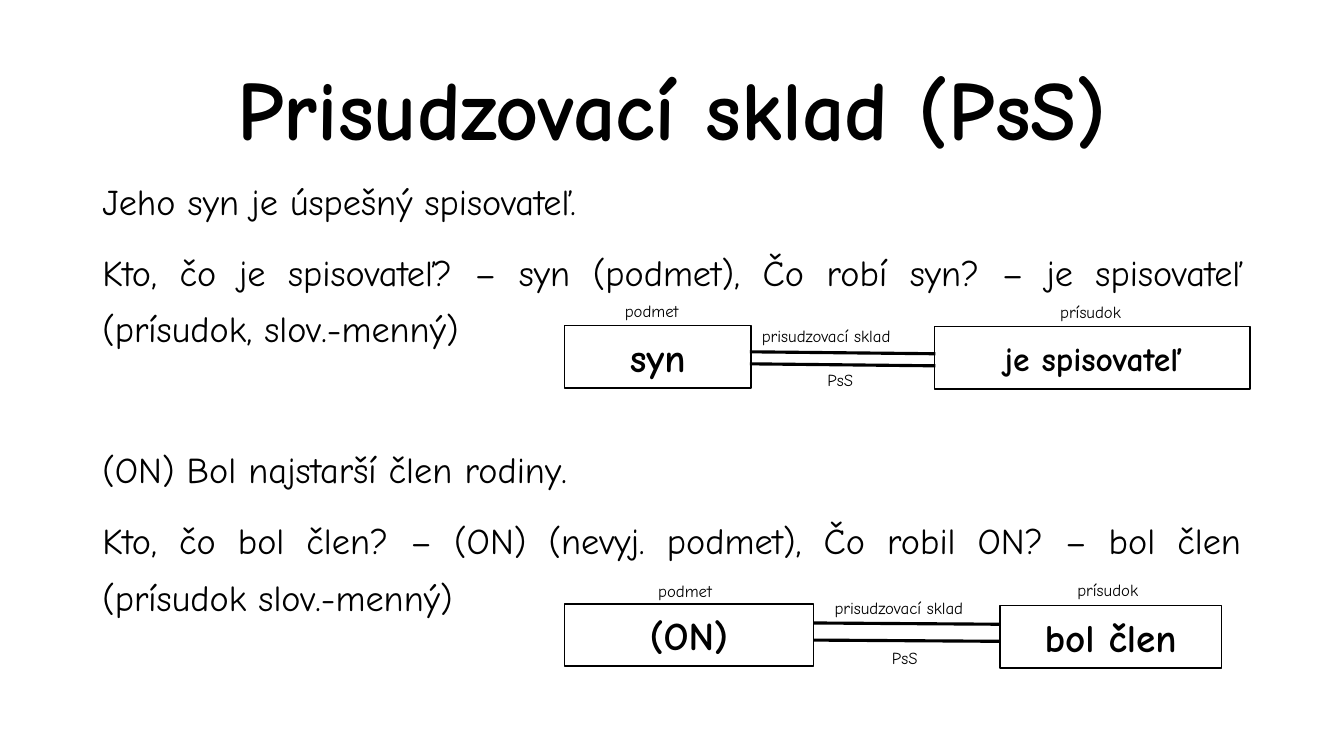
from pptx import Presentation
from pptx.dml.color import RGBColor
from pptx.enum import shapes, text
from pptx.oxml import ns
from pptx.util import Pt
from lxml import etree

BLACK = RGBColor(0, 0, 0)
WHITE = RGBColor(255, 255, 255)
FONT = "Comic Neue"
ALIGN = text.PP_ALIGN

# Content: lengths in points
TITLE = "Prisudzovací sklad (PsS)"
BODY = [  # text, space before
    ("Jeho syn je úspešný spisovateľ.", 0),
    ("Kto, čo je spisovateľ? – syn (podmet), Čo robí syn? – je spisovateľ "
     "(prísudok, slov.-menný)", 10),
    ("(ON) Bol najstarší člen rodiny.", 60.4),
    ("Kto, čo bol člen? – (ON) (nevyj. podmet), Čo robil ON? – bol člen "
     "(prísudok slov.-menný)", 10),
]
BOX_HEIGHT = 44.6
LABEL_HEIGHT = 21.8
LABEL_WIDTHS = {"podmet": 56.2, "prísudok": 62.6,
                "prisudzovací sklad": 116.6, "PsS": 35.3}
DIAGRAMS = [
    {"boxes": [("syn", 403.2, 232.6, 133.2, 28),
               ("je spisovateľ", 667.4, 233.3, 225.4, 24)],
     "labels": [("podmet", 439.2, 211), ("prísudok", 750.2, 211.7),
                ("prisudzovací sklad", 537.1, 229), ("PsS", 583.9, 260.6)],
     "bond": (535.7, 668.2), "bond_tops": (251.3, 259.9), "drop": 1.4},
    {"boxes": [("(ON)", 403.2, 431.3, 177.8, 28),
               ("bol člen", 714.2, 432.7, 158.4, 28)],
     "labels": [("podmet", 463, 411.1), ("prísudok", 762.5, 410.4),
                ("prisudzovací sklad", 589, 423.4), ("PsS", 630, 459.4)],
     "bond": (581, 714.2), "bond_tops": (445, 457.2), "drop": 0.9},
]

deck = Presentation()
deck.slide_width, deck.slide_height = Pt(960), Pt(540)
page = deck.slides.add_slide(deck.slide_layouts[6])


def write(frame, lines, size, bold=False, align=ALIGN.LEFT, spacing=None,
          anchor=text.MSO_ANCHOR.TOP, wrap=True):
    """Fill a text frame with (text, space before) lines."""
    frame.word_wrap = wrap
    frame.vertical_anchor = anchor
    for index, (words, before) in enumerate(lines):
        para = frame.add_paragraph() if index else frame.paragraphs[0]
        para.alignment = align
        para.space_before = Pt(before)
        if spacing:
            para.line_spacing = spacing
        span = para.add_run()
        span.text = words
        span.font.name, span.font.size = FONT, Pt(size)
        span.font.bold, span.font.color.rgb = bold, BLACK


def add_text(left, top, width, height, lines, size, **style):
    box = page.shapes.add_textbox(Pt(left), Pt(top), Pt(width), Pt(height))
    write(box.text_frame, lines, size, **style)


def add_member(words, left, top, width, size):
    box = page.shapes.add_shape(shapes.MSO_SHAPE.RECTANGLE, Pt(left), Pt(top),
                                Pt(width), Pt(BOX_HEIGHT))
    box.shadow.inherit = False
    box.fill.solid()
    box.fill.fore_color.rgb = WHITE
    box.line.color.rgb = BLACK
    box.line.width = Pt(1)
    write(box.text_frame, [(words, 0)], size, bold=True, align=ALIGN.CENTER,
          anchor=text.MSO_ANCHOR.MIDDLE)


def add_bond(start, end, top, drop):
    line = page.shapes.add_connector(shapes.MSO_CONNECTOR.STRAIGHT, Pt(start),
                                     Pt(top), Pt(end), Pt(top + drop))
    line.line.color.rgb = BLACK
    line.line.width = Pt(2.25)
    etree.SubElement(line._element.spPr, ns.qn("a:effectLst"))


# Title and example sentences
add_text(66, 28.8, 828, 104.4, [(TITLE, 0)], 60, bold=True, align=ALIGN.CENTER,
         spacing=0.9, anchor=text.MSO_ANCHOR.MIDDLE)
add_text(66, 115.2, 828, 335.5, BODY, 25.9, align=ALIGN.JUSTIFY, spacing=1.3)

# Subject and predicate diagrams
for diagram in DIAGRAMS:
    for member in diagram["boxes"]:
        add_member(*member)
    for bond_top in diagram["bond_tops"]:
        add_bond(*diagram["bond"], bond_top, diagram["drop"])
    for label, left, top in diagram["labels"]:
        add_text(left, top, LABEL_WIDTHS[label], LABEL_HEIGHT, [(label, 0)], 12,
                 wrap=False)

deck.save("out.pptx")
